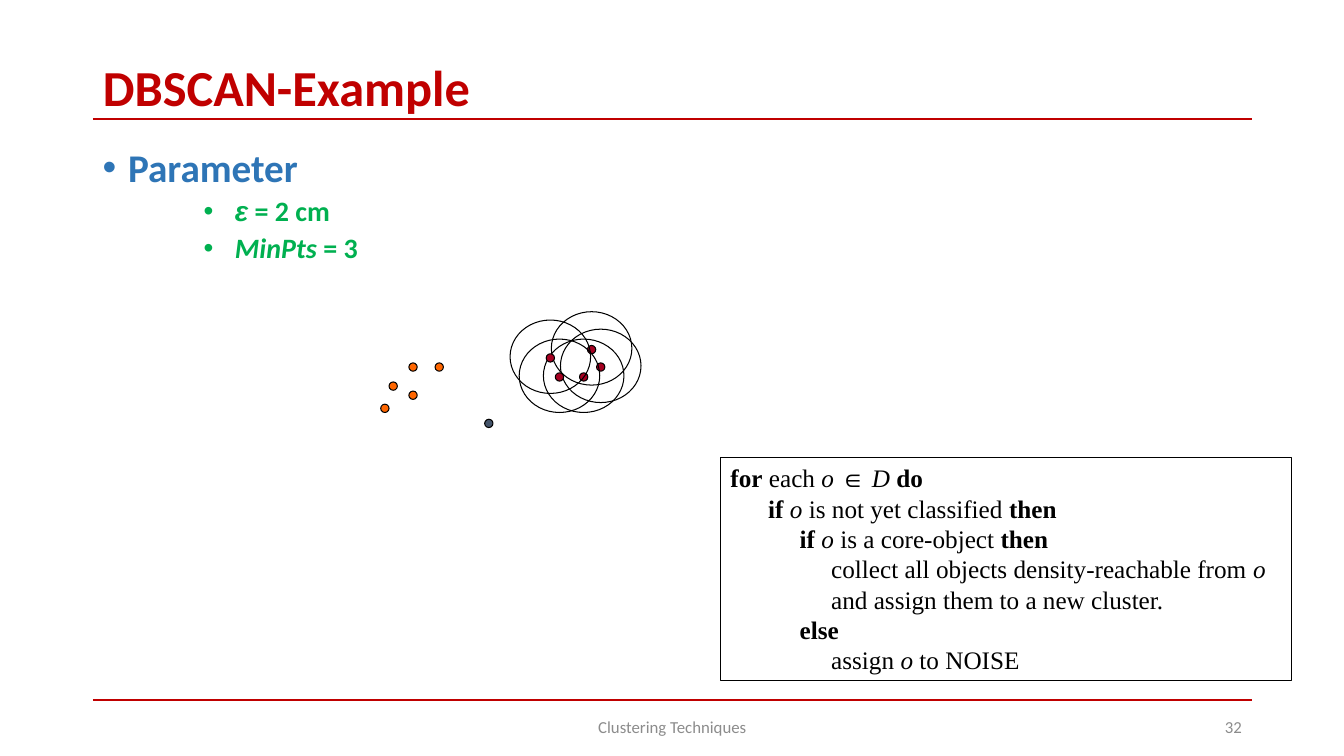
from dataclasses import dataclass

from lxml import etree
from pptx import Presentation
from pptx import util as u
from pptx.dml.color import RGBColor
from pptx.enum import shapes, text
from pptx.oxml import ns

# Content: each line is a list of (text, style); b = bold, i = italic, a = Arial
TITLE = "DBSCAN-Example"
FOOTER = "Clustering Techniques"
PAGE = "32"
PARAMETERS = [
    (0, [("Parameter", "b")]),
    (1, [("ε", "bia"), (" = 2 cm", "b")]),
    (1, [("MinPts", "bi"), (" = 3", "b")]),
]
ALGORITHM = [
    [("for", "b"), (" each ", ""), ("o ", "i"), ("∈", "a"), (" D ", "i"), ("do", "b")],
    [("      if ", "b"), ("o", "i"), (" is not yet classified ", ""), ("then", "b")],
    [("           if ", "b"), ("o", "i"), (" is a core-object ", ""), ("then", "b")],
    [("                collect all objects density-reachable from ", ""), ("o", "i")],
    [("                and assign them to a new cluster.", "")],
    [("           else", "b")],
    [("                assign ", ""), ("o", "i"), (" to NOISE", "")],
]
# Point centres in cm
UNVISITED = [(9.7, 10.29), (10.41, 9.25), (11.07, 9.25), (9.91, 9.73), (10.41, 9.96)]
NOISE = [(12.32, 10.67)]
CLUSTER = [(15.14, 9.25), (14.91, 8.81), (14.71, 9.5), (14.1, 9.5), (13.87, 9.02)]


@dataclass(frozen=True)
class Theme:
    red: str = "C00000"
    blue: str = "2E75B6"
    green: str = "00B050"
    grey: str = "8C8C8C"
    black: str = "000000"
    unvisited: str = "FF6600"
    noise: str = "44546A"
    cluster: str = "A50021"
    font: str = "Calibri"
    symbol_font: str = "Arial"
    code_font: str = "Times New Roman"
    title: int = 36
    heading: int = 28
    item: int = 20
    code: int = 18
    footer: int = 12


THEME = Theme()
LEFT, WIDTH = 2.34, 29.21
DOT = 0.21
RANGE_WIDTH, RANGE_HEIGHT, RANGE_RISE = 2.03, 1.85, 0.03


def color(value):
    return RGBColor.from_string(value)


def write(paragraph, parts, size, ink, font=THEME.font):
    for words, style in parts:
        run = paragraph.add_run()
        run.text = words
        run.font.size = u.Pt(size)
        run.font.name = THEME.symbol_font if "a" in style else font
        run.font.bold = "b" in style
        run.font.italic = "i" in style
        run.font.color.rgb = color(ink)


def add_bullet(paragraph, margin, hanging):
    props = paragraph._p.get_or_add_pPr()
    props.set("marL", str(u.Cm(margin)))
    props.set("indent", str(-u.Cm(hanging)))
    etree.SubElement(props, ns.qn("a:buFont")).set("typeface", "Arial")
    etree.SubElement(props, ns.qn("a:buChar")).set("char", "•")


def add_rule(slide, y):
    rule = slide.shapes.add_connector(
        shapes.MSO_CONNECTOR.STRAIGHT, u.Cm(LEFT), u.Cm(y), u.Cm(LEFT + WIDTH), u.Cm(y))
    rule.line.color.rgb = color(THEME.red)
    rule.line.width = u.Pt(1.5)
    etree.SubElement(rule._element.spPr, ns.qn("a:effectLst"))


def add_outlined(slide, kind, x, y, width, height, fill=None):
    outlined = slide.shapes.add_shape(kind, u.Cm(x), u.Cm(y), u.Cm(width), u.Cm(height))
    outlined.shadow.inherit = False
    outlined.line.color.rgb = color(THEME.black)
    outlined.line.width = u.Pt(0.75)
    if fill:
        outlined.fill.solid()
        outlined.fill.fore_color.rgb = color(fill)
    else:
        outlined.fill.background()
    return outlined


def add_ellipse(slide, x, y, width, height, fill=None):
    add_outlined(slide, shapes.MSO_SHAPE.OVAL, x - width / 2, y - height / 2,
                 width, height, fill)


def add_footer(slide, words, x, width, align):
    footer = slide.shapes.add_textbox(u.Cm(x), u.Cm(17.81), u.Cm(width), u.Cm(1.02)).text_frame
    footer.word_wrap = True
    footer.vertical_anchor = text.MSO_ANCHOR.MIDDLE
    footer.paragraphs[0].alignment = align
    write(footer.paragraphs[0], [(words, "")], THEME.footer, THEME.grey)


def add_title(slide):
    title = slide.shapes.title
    title.left, title.top = u.Cm(LEFT), u.Cm(1.55)
    title.width, title.height = u.Cm(WIDTH), u.Cm(1.47)
    frame = title.text_frame
    frame.auto_size = text.MSO_AUTO_SIZE.NONE
    frame.vertical_anchor = text.MSO_ANCHOR.MIDDLE
    heading = frame.paragraphs[0]
    heading.alignment = text.PP_ALIGN.LEFT
    heading.line_spacing = 0.9
    write(heading, [(TITLE, "b")], THEME.title, THEME.red)


def add_parameters(slide):
    frame = slide.shapes.add_textbox(u.Cm(LEFT), u.Cm(3.61), u.Cm(8.89), u.Cm(4.01)).text_frame
    frame.word_wrap = True
    looks = [(0.64, 0.64, THEME.heading, THEME.blue), (3.33, 0.79, THEME.item, THEME.green)]
    for number, (level, parts) in enumerate(PARAMETERS):
        line = frame.add_paragraph() if number else frame.paragraphs[0]
        margin, hanging, size, ink = looks[level]
        add_bullet(line, margin, hanging)
        line.level = level
        line.line_spacing = 0.9
        if number:
            line.space_before = u.Pt(5)
        write(line, parts, size, ink)


def add_algorithm(slide):
    box = add_outlined(slide, shapes.MSO_SHAPE.RECTANGLE, 18.16, 11.53, 14.4, 5.61)
    frame = box.text_frame
    frame.word_wrap = True
    frame.vertical_anchor = text.MSO_ANCHOR.TOP
    for number, parts in enumerate(ALGORITHM):
        line = frame.add_paragraph() if number else frame.paragraphs[0]
        line.alignment = text.PP_ALIGN.LEFT
        line.line_spacing = u.Pt(21.65)
        write(line, parts, THEME.code, THEME.black, THEME.code_font)


def add_points(slide):
    for points, fill in ((UNVISITED, THEME.unvisited), (NOISE, THEME.noise)):
        for x, y in points:
            add_ellipse(slide, x, y, DOT, DOT, fill)
    # Each clustered point lies within its own epsilon range
    for x, y in CLUSTER:
        add_ellipse(slide, x, y - RANGE_RISE, RANGE_WIDTH, RANGE_HEIGHT)
        add_ellipse(slide, x, y, DOT, DOT, THEME.cluster)


def main():
    deck = Presentation()
    deck.slide_width, deck.slide_height = u.Cm(33.87), u.Cm(19.05)
    slide = deck.slides.add_slide(deck.slide_layouts[5])

    # Frame of the slide
    add_title(slide)
    for y in (3.0, 17.65):
        add_rule(slide, y)
    add_footer(slide, FOOTER, 11.23, 11.43, text.PP_ALIGN.CENTER)
    add_footer(slide, PAGE, 23.93, 7.62, text.PP_ALIGN.RIGHT)

    # Parameters, algorithm and scatter of points
    add_parameters(slide)
    add_algorithm(slide)
    add_points(slide)
    deck.save("out.pptx")


if __name__ == "__main__":
    main()
